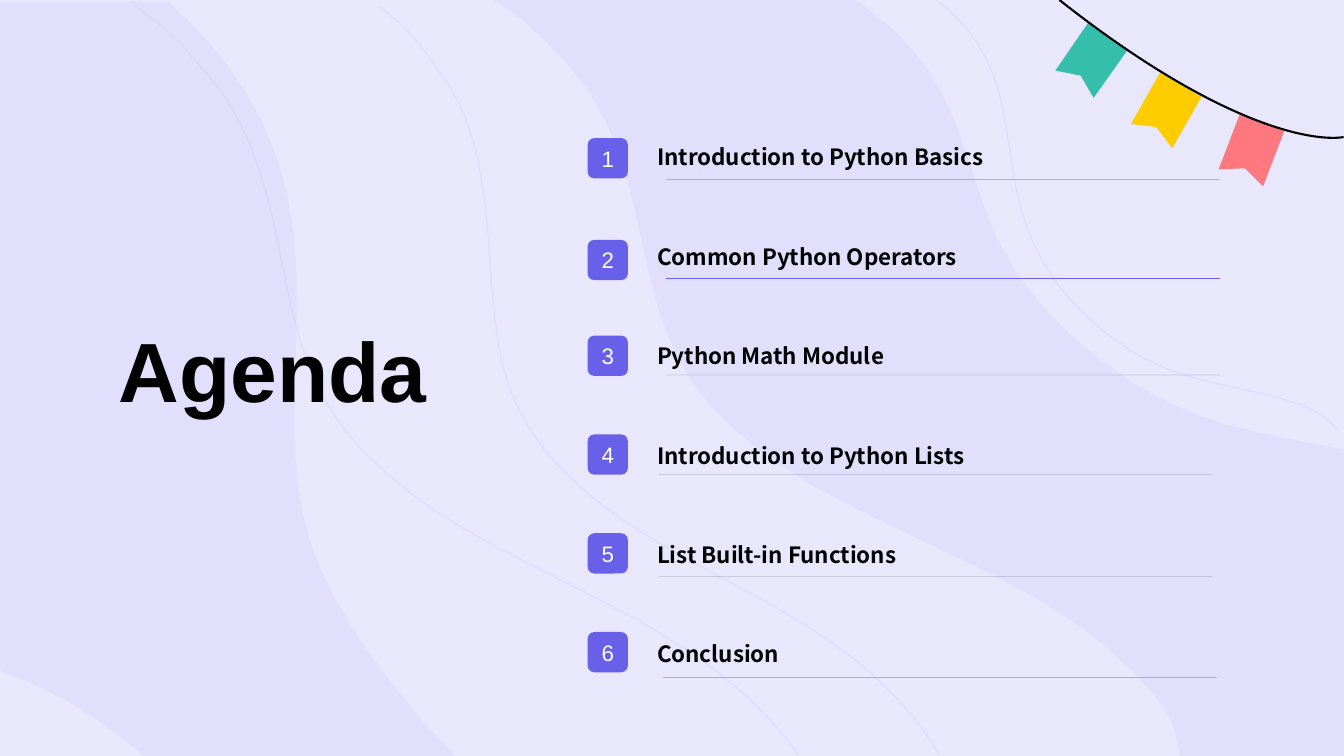
from lxml import etree
from pptx import Presentation
from pptx.dml.color import RGBColor
from pptx.enum.shapes import MSO_CONNECTOR, MSO_SHAPE
from pptx.enum.text import MSO_ANCHOR, MSO_AUTO_SIZE, PP_ALIGN
from pptx.oxml.ns import qn
from pptx.util import Pt

PX = 9144  # 100 px to the inch
SLIDE_BOX = (0, 0, 1333.33, 750)
STRAIGHT = MSO_CONNECTOR.STRAIGHT
ROUNDED = MSO_SHAPE.ROUNDED_RECTANGLE
MIDDLE = MSO_ANCHOR.MIDDLE
LEFT, CENTER = PP_ALIGN.LEFT, PP_ALIGN.CENTER
GROW = MSO_AUTO_SIZE.SHAPE_TO_FIT_TEXT

BACKGROUND = RGBColor(0xE8, 0xE7, 0xFC)
WAVE = RGBColor(0x63, 0x53, 0xEF)
CONTOUR = RGBColor(0x59, 0x3C, 0xFC)
PURPLE = RGBColor(0x68, 0x60, 0xE8)
GREY = RGBColor(0x77, 0x84, 0x95)
BLACK = RGBColor(0, 0, 0)
WHITE = RGBColor(0xFF, 0xFF, 0xFF)
CORAL = RGBColor(0xFD, 0x78, 0x7F)
YELLOW = RGBColor(0xFF, 0xCC, 0x00)
TEAL = RGBColor(0x35, 0xBE, 0xAB)

# Outlines in px: a pair is a straight step, six numbers are a Bezier step
WAVES = [
    [(848, 0), (490, 0), (525, 23, 536, 35, 563, 64), (599, 104, 616, 152, 628, 201),
     (640, 250, 647, 300, 669, 347), (680, 371, 695, 393, 714, 412),
     (732, 430, 752, 446, 774, 461), (859, 518, 962, 551, 1048, 606),
     (1090, 633, 1126, 664, 1154, 701), (1160, 709, 1165, 721, 1168, 735), (1171, 752),
     (1335, 752), (1335, 446), (1333, 446), (1306, 440, 1277, 436, 1250, 429),
     (1212, 421, 1175, 409, 1142, 390), (1077, 353, 1021, 300, 990, 238),
     (974, 204, 965, 168, 952, 134), (941, 102, 925, 71, 901, 45),
     (886, 28, 868, 13, 848, 0)],
    [(167, 2), (-3, 2), (-3, 664), (2, 666), (12, 670, 22, 674, 32, 678),
     (74, 697, 112, 723, 145, 752), (455, 752), (452, 750),
     (435, 733, 419, 715, 403, 696), (372, 658, 344, 618, 323, 575),
     (300, 529, 293, 478, 292, 428), (291, 378, 296, 327, 294, 276),
     (293, 234, 287, 193, 273, 152), (252, 95, 215, 44, 167, 2)],
]
CONTOURS = [
    [(792, 749), (764, 710, 729, 677, 687, 649), (601, 590, 499, 555, 415, 495),
     (394, 479, 374, 462, 356, 443), (337, 422, 322, 399, 311, 374),
     (290, 324, 282, 271, 271, 219), (259, 167, 242, 116, 206, 74),
     (179, 43, 168, 30, 134, 6)],
    [(932, 2), (946, 14, 959, 27, 969, 42), (984, 65, 993, 92, 997, 120),
     (1003, 150, 1005, 181, 1014, 210), (1029, 265, 1067, 311, 1116, 344),
     (1140, 360, 1168, 371, 1198, 378), (1227, 386, 1258, 390, 1286, 400),
     (1299, 404, 1312, 411, 1322, 421), (1324, 423, 1326, 425, 1328, 427)],
    [(932, 749), (909, 710, 878, 677, 841, 649), (763, 590, 665, 555, 590, 495),
     (571, 479, 553, 462, 538, 443), (521, 422, 510, 399, 502, 374),
     (488, 324, 488, 271, 483, 219), (478, 167, 469, 116, 438, 74),
     (416, 43, 407, 30, 376, 6)],
]
# Bunting outlines, relative to its box
FLAGS = [
    (CORAL, [(223, 130), (202, 185), (184, 167), (158, 168), (179, 113)]),
    (YELLOW, [(141, 96), (112, 147), (96, 126), (71, 123), (100, 72)]),
    (TEAL, [(68, 49), (34, 97), (21, 75), (-4, 70), (29, 22)]),
]
STRING = [(282, 136), (260, 140, 170, 134, 0, 0)]

# Topic, badge top, rule left and top (relative to the list), rule colour, opacity
TOPICS = [
    ("Introduction to Python Basics", 0, 78, 41, GREY, 80),
    ("Common Python Operators", 101, 78, 139, PURPLE, 100),
    ("Python Math Module", 196, 78, 235, GREY, 80),
    ("Introduction to Python Lists", 294, 71, 334, GREY, 80),
    ("List Built-in Functions", 392, 71, 435, GREY, 80),
    ("Conclusion", 490, 75, 535, GREY, 80),
]


def emu(*lengths):
    return [round(length * PX) for length in lengths]


def paint(fill, color, opacity=100):
    fill.solid()
    fill.fore_color.rgb = color
    if opacity < 100:
        for node in fill._xPr.iter(qn("a:srgbClr")):
            etree.SubElement(node, qn("a:alpha")).set("val", str(opacity * 1000))


def bend(shape, steps):
    """Join the three straight segments of each Bezier step into one curve."""
    segments = iter(list(shape._element.spPr.iter(qn("a:lnTo"))))
    for step in steps[1:]:
        segment = next(segments)
        if len(step) == 6:
            segment.tag = qn("a:cubicBezTo")
            for _ in range(2):
                extra = next(segments)
                segment.append(extra[0])
                extra.getparent().remove(extra)


def draw_outline(slide, box, steps, color, opacity=100, line_width=None):
    """Fill a closed outline, or stroke an open one when a line width is given."""
    left, top = box[:2]
    points = [tuple(emu(left + step[i], top + step[i + 1]))
              for step in steps for i in range(0, len(step), 2)]
    builder = slide.shapes.build_freeform(*points[0])
    builder.add_line_segments(points[1:], close=line_width is None)
    shape = builder.convert_to_shape()
    bend(shape, steps)
    shape.shadow.inherit = False
    if line_width is None:
        paint(shape.fill, color, opacity)
        shape.line.fill.background()
    else:
        shape.fill.background()
        paint(shape.line.fill, color, opacity)
        shape.line.width = Pt(line_width)


def write_text(shape, text, size, font="Arial", color=BLACK, bold=False,
               align=CENTER, wrap=False, grow=False):
    frame = shape.text_frame
    frame.word_wrap = wrap
    frame.vertical_anchor = MIDDLE
    if grow:
        frame.auto_size = GROW
    paragraph = frame.paragraphs[0]
    paragraph.alignment = align
    run = paragraph.add_run()
    run.text = text
    run.font.size, run.font.name, run.font.bold = Pt(size), font, bold
    run.font.color.rgb = color


def add_rule(slide, left, top, width, color, opacity):
    rule = slide.shapes.add_connector(STRAIGHT, *emu(left, top, left + width, top))
    paint(rule.line.fill, color, opacity)
    rule.line.width = Pt(0.25)
    etree.SubElement(rule._element.spPr, qn("a:effectLst"))


def add_backdrop(slide, box):
    paint(slide.background.fill, BACKGROUND)
    for steps in WAVES:
        draw_outline(slide, box, steps, WAVE, opacity=5)
    for steps in CONTOURS:
        draw_outline(slide, box, steps, CONTOUR, opacity=5, line_width=0.85)


def add_bunting(slide, box):
    for color, steps in FLAGS:
        draw_outline(slide, box, steps, color)
    draw_outline(slide, box, STRING, BLACK, line_width=1.5)


def add_title(slide, box):
    title = slide.shapes.add_textbox(*emu(*box))
    write_text(title, "Agenda", 60, bold=True, grow=True)


def add_topics(slide, box):
    left, top, width, height = box
    pitch = height / len(TOPICS)
    for index, (topic, badge_top, rule_left, rule_top, color, opacity) in enumerate(TOPICS):
        # Topic name
        label = slide.shapes.add_textbox(
            *emu(left + 59, top + index * pitch, width - 59, 37))
        write_text(label, topic, 16, font="Noto Sans CJK SC", bold=True,
                   align=LEFT, wrap=True, grow=True)
        # Underline
        add_rule(slide, left + rule_left, top + rule_top, 549, color, opacity)
        # Numbered badge
        badge = slide.shapes.add_shape(ROUNDED, *emu(left, top + badge_top, 40, 40))
        badge.shadow.inherit = False
        paint(badge.fill, PURPLE)
        badge.line.fill.background()
        write_text(badge, str(index + 1), 16, color=WHITE)


def main():
    presentation = Presentation()
    presentation.slide_width, presentation.slide_height = emu(*SLIDE_BOX[2:])
    slide = presentation.slides.add_slide(presentation.slide_layouts[6])
    add_backdrop(slide, SLIDE_BOX)
    add_bunting(slide, (1051, 0, 282, 185))
    add_title(slide, (106, 310, 329, 111))
    add_topics(slide, (583, 137, 677, 592))
    presentation.save("out.pptx")


if __name__ == "__main__":
    main()
